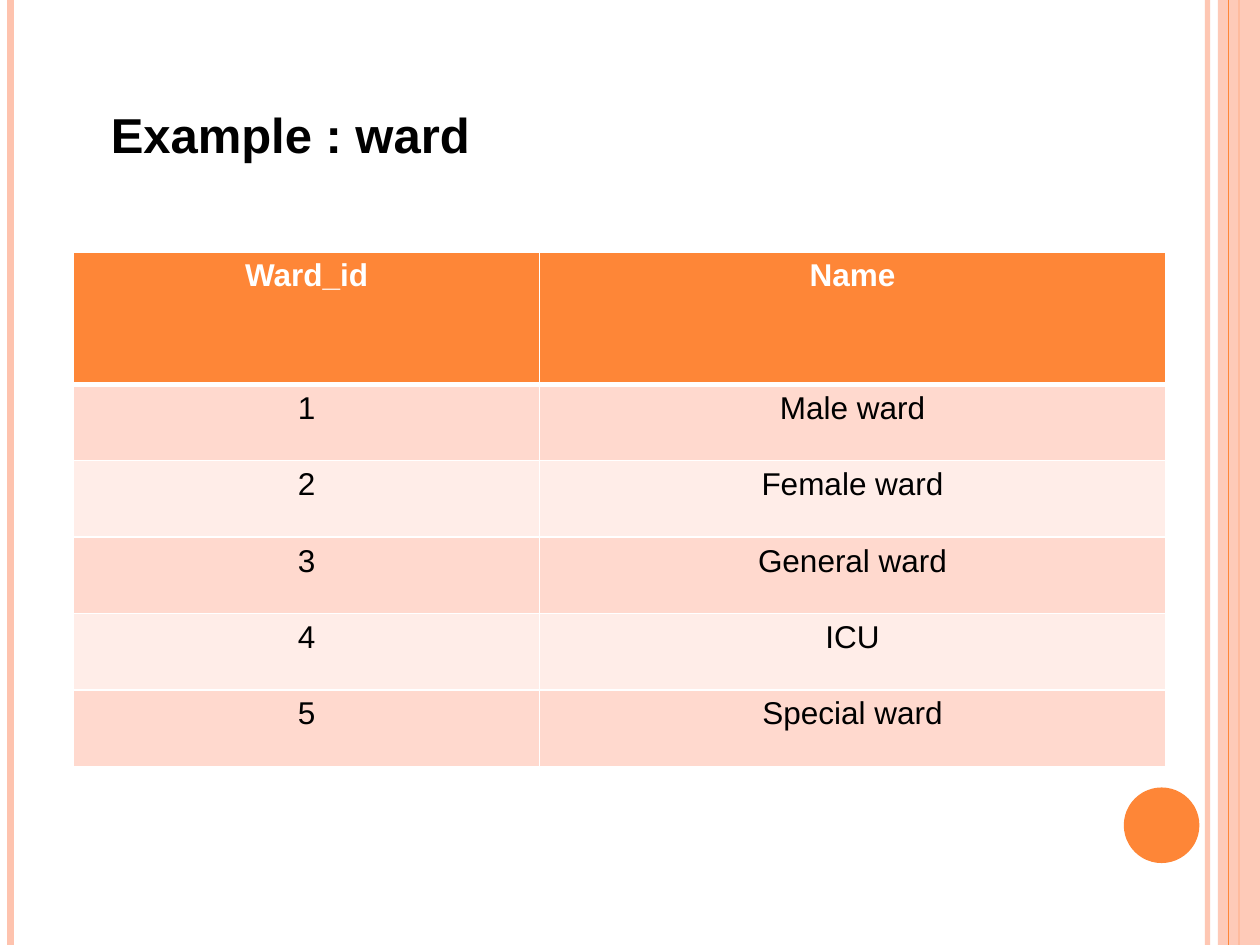
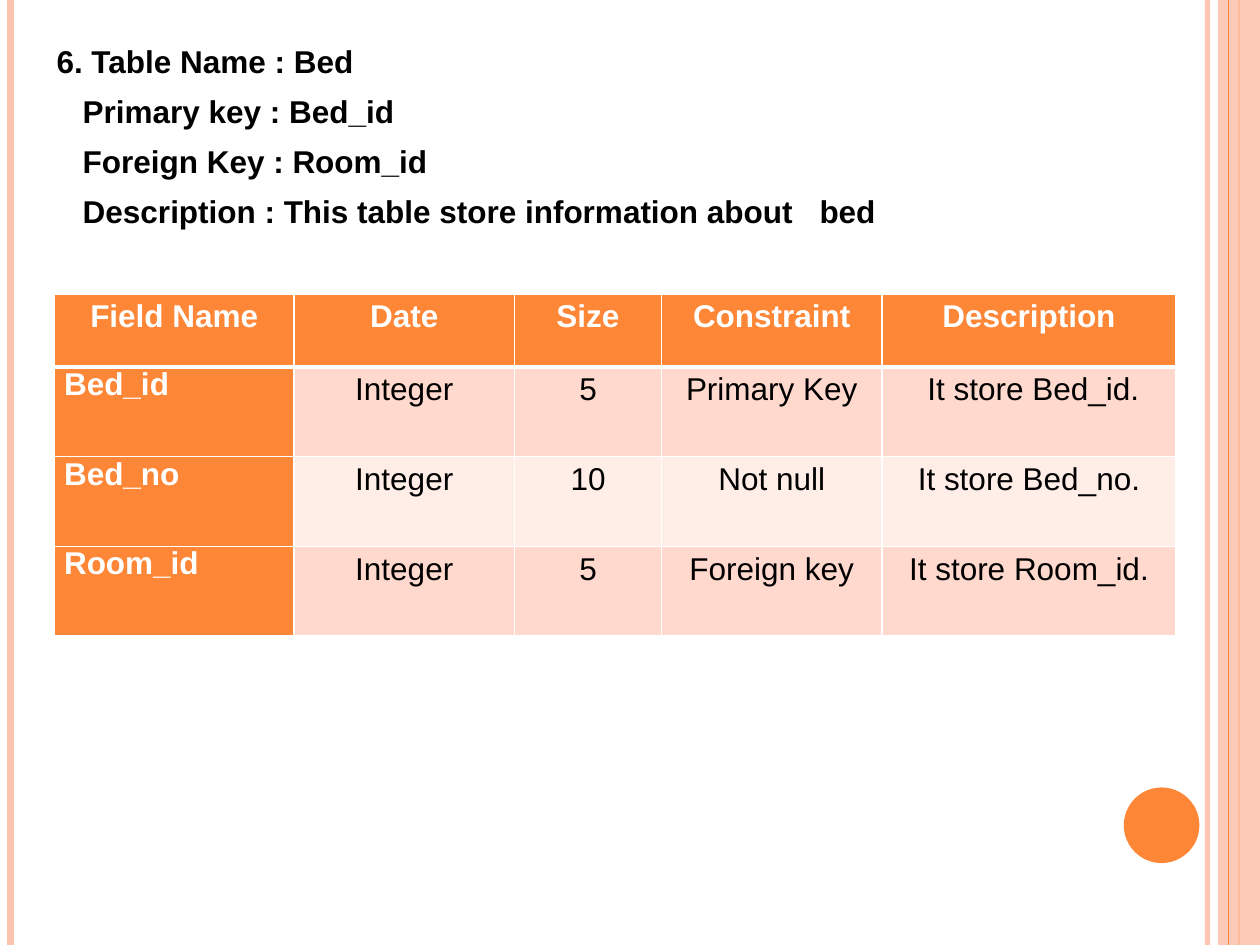
"""Builds two slides describing the ward and bed tables of a hospital database."""
import pptx
import pptx.util
import pptx.dml.color
import pptx.enum.shapes
import pptx.enum.text
import pptx.oxml
import pptx.oxml.ns
import lxml.etree

Pt = pptx.util.Pt
RGB = pptx.dml.color.RGBColor.from_string
qn = pptx.oxml.ns.qn
SHAPE = pptx.enum.shapes.MSO_SHAPE
CENTER = pptx.enum.text.PP_ALIGN.CENTER
LEFT = pptx.enum.text.PP_ALIGN.LEFT
COLORS = {"orange": "FE8637", "peach": "FEC3AE", "dark_band": "FFD9CE",
          "light_band": "FFEDE8", "white": "FFFFFF", "black": "000000"}


def write(p, text, size=18, bold=False, color="black", align=LEFT,
          before=0, line=None, indent=0, tracking=0):
    """Add one formatted run to a paragraph."""
    p.alignment = align
    p.space_before = Pt(before)
    if line:
        p.line_spacing = line
    if indent:
        p._p.get_or_add_pPr().set("marL", str(Pt(indent)))
    r = p.add_run()
    r.text = text
    r.font.name = "Arial"
    r.font.size = Pt(size)
    r.font.bold = bold
    r.font.color.rgb = RGB(COLORS[color])
    if tracking:
        r._r.get_or_add_rPr().set("spc", str(tracking * 100))


def add_grid(s, left, top, widths, heights, rows, first_col=False, inset=3.6, line=None):
    """Add a banded table with white rules and an orange header."""
    frame = s.shapes.add_table(len(rows), len(widths), Pt(left), Pt(top),
                               Pt(sum(widths)), Pt(sum(heights)))
    table = frame.table
    for column, width in zip(table.columns, widths):
        column.width = Pt(width)
    for i, values in enumerate(rows):
        table.rows[i].height = Pt(heights[i])
        for j, value in enumerate(values):
            cell = table.cell(i, j)
            cell.margin_left = cell.margin_right = Pt(5.4 if first_col else 7.2)
            cell.margin_top = cell.margin_bottom = Pt(inset)
            row_label = first_col and j == 0 and i > 0
            strong = i == 0 or row_label
            write(cell.text_frame.paragraphs[0], value, bold=strong,
                  color="white" if strong else "black",
                  align=LEFT if row_label else CENTER,
                  line=None if row_label else line)
            for side in ("L", "R", "T", "B"):
                thick = (i == 0 and side == "B") or (i == 1 and side == "T")
                ln = lxml.etree.SubElement(cell._tc.get_or_add_tcPr(), qn(f"a:ln{side}"),
                                           w=str(Pt(3 if thick else 1)))
                fill = lxml.etree.SubElement(ln, qn("a:solidFill"))
                lxml.etree.SubElement(fill, qn("a:srgbClr"), val=COLORS["white"])
            band = "dark_band" if i % 2 else "light_band"
            cell.fill.solid()
            cell.fill.fore_color.rgb = RGB(COLORS["orange" if strong else band])


prs = pptx.Presentation()
prs.slide_width, prs.slide_height = Pt(720), Pt(540)
ward, bed = [prs.slides.add_slide(prs.slide_layouts[6]) for _ in range(2)]

frame_parts = [("line", 690, 3, "peach", 93), ("line", 6, 4.5, "peach", 100),
               ("line", 708, 1.5, "orange", 100), ("band", 696, 24, "peach", 87),
               ("line", 702, 0.75, "orange", 100)]
for s in (ward, bed):
    for kind, x, width, color, opacity in frame_parts:
        if kind == "line":
            sp = s.shapes.add_connector(pptx.enum.shapes.MSO_CONNECTOR.STRAIGHT,
                                        Pt(x), Pt(0), Pt(x), Pt(540))
            sp.line.width = Pt(width)
            fill = sp.line.fill
        else:
            sp = s.shapes.add_shape(SHAPE.RECTANGLE, Pt(x), Pt(0), Pt(width), Pt(540))
            sp.line.fill.background()
            fill = sp.fill
        fill.solid()
        fill.fore_color.rgb = RGB(COLORS[color])
        if opacity < 100:
            clr = next(sp._element.spPr.iter(qn("a:srgbClr")))
            lxml.etree.SubElement(clr, qn("a:alpha"), val=str(opacity * 1000))
        lxml.etree.SubElement(sp._element.spPr, qn("a:effectLst"))
    dot = s.shapes.add_shape(SHAPE.OVAL, Pt(642.2), Pt(450), Pt(43.2), Pt(43.2))
    dot.shadow.inherit = False
    dot.fill.solid()
    dot.fill.fore_color.rgb = RGB(COLORS["orange"])
    dot.line.fill.background()

add_grid(ward, 42, 144, [266.4, 357.6], [75.6] + [43.7] * 5,
         [("Ward_id", "Name"), ("1", "Male ward"), ("2", "Female ward"),
          ("3", "General ward"), ("4", "ICU"), ("5", "Special ward")])
title = ward.shapes.add_textbox(Pt(56.2), Pt(56.2), Pt(382.3), Pt(41))
title.text_frame.word_wrap = True
write(title.text_frame.paragraphs[0], "Example : ward", size=28, bold=True)

summary = bed.shapes.add_textbox(Pt(25.2), Pt(20.2), Pt(658.8), Pt(452.2))
tf = summary.text_frame
tf.word_wrap = True
write(tf.paragraphs[0], "6. Table Name : Bed", bold=True)
for text in ("Primary key : Bed_id", "Foreign Key : Room_id",
             "Description : This table store information about"):
    p = tf.add_paragraph()
    write(p, text, bold=True, before=7, indent=15)
write(p, " ", bold=True, before=7, indent=15, tracking=10)
write(p, "bed", bold=True, before=7, indent=15)

add_grid(bed, 31.2, 168, [136.8, 126, 84, 126, 168], [41.8] + [51.2] * 3,
         [("Field Name", "Date", "Size", "Constraint", "Description"),
          ("Bed_id", "Integer", "5", "Primary Key", " It store Bed_id."),
          ("Bed_no", "Integer", "10", "Not null", "It store Bed_no."),
          ("Room_id", "Integer", "5", "Foreign key", "It store Room_id.")],
         first_col=True, inset=0, line=1.15)

prs.save("out.pptx")
